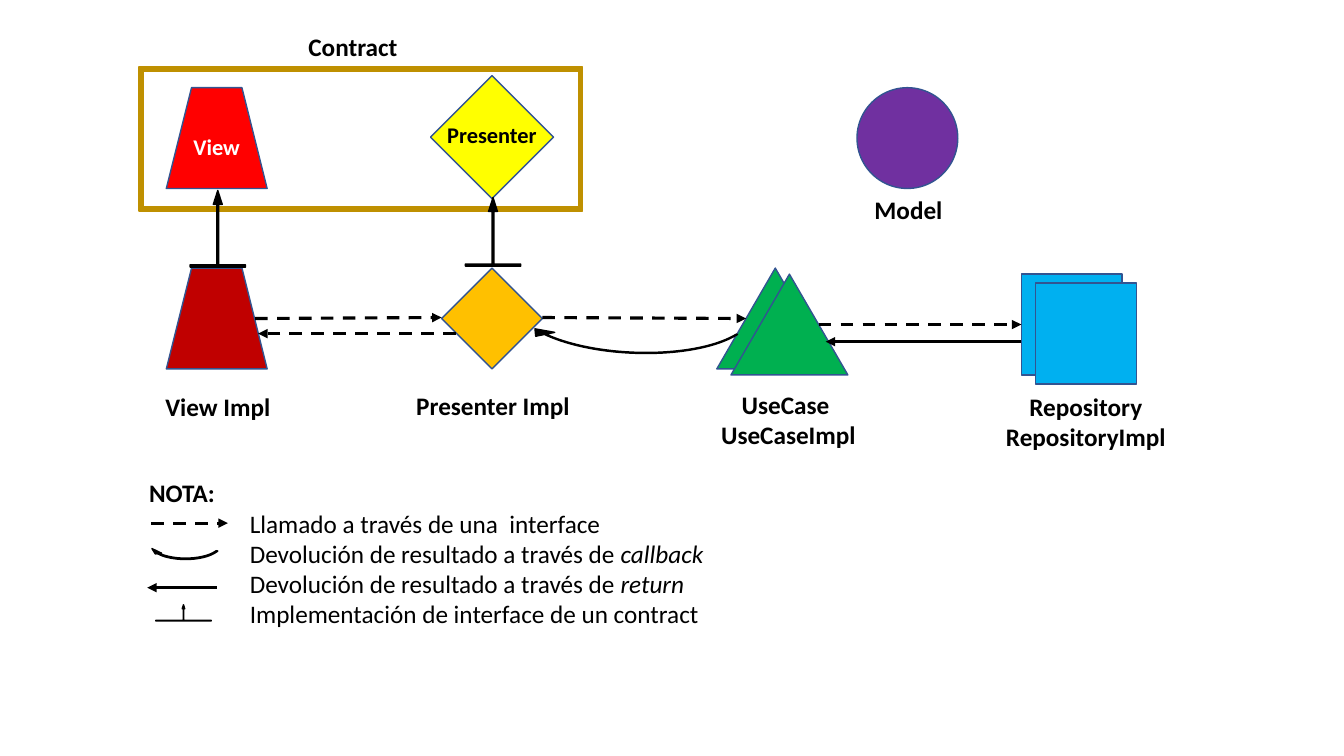
from lxml import etree
from pptx import Presentation, util as u
from pptx.dml.color import RGBColor
from pptx.enum import dml, shapes, text
from pptx.oxml.ns import qn

COLORS = {
    "black": "000000", "white": "FFFFFF", "outline": "325491", "contract": "BF9000",
    "view": "FF0000", "view_impl": "C00000", "presenter": "FFFF00",
    "presenter_impl": "FFC000", "use_case": "00B050", "repository": "00B0F0",
    "model": "7030A0",
}
FONT = "Calibri"
KIND = shapes.MSO_SHAPE
VIEW, PRESENTER, USE_CASE, REPOSITORY, MODEL = 2.15, 4.88, 7.69, 10.63, 9.0
CONTRACT_ROW, IMPL_ROW = 1.37, 3.16
LEGEND = 1.46

# kind, centre, size, colour
COMPONENTS = [
    (KIND.RECTANGLE, (REPOSITORY, IMPL_ROW + 0.06), (1, 1), "repository"),
    (KIND.OVAL, (MODEL, CONTRACT_ROW), (1, 1), "model"),
    (KIND.ISOSCELES_TRIANGLE, (USE_CASE, IMPL_ROW), (1.16, 1), "use_case"),
    (KIND.DIAMOND, (PRESENTER, IMPL_ROW), (1, 1), "presenter_impl"),
    (KIND.TRAPEZOID, (VIEW, IMPL_ROW), (1, 1), "view_impl"),
    (KIND.TRAPEZOID, (VIEW, CONTRACT_ROW), (1, 1), "view"),
    (KIND.ISOSCELES_TRIANGLE, (USE_CASE + 0.14, IMPL_ROW + 0.06), (1.16, 1), "use_case"),
    (KIND.RECTANGLE, (REPOSITORY + 0.14, IMPL_ROW + 0.15), (1, 1), "repository"),
]
LABELS = [
    (["Contract"], (3.5, 0.26), 1.09),
    (["View Impl"], (VIEW + 0.01, 3.83), 1.25),
    (["Presenter Impl"], (PRESENTER + 0.01, 3.82), 1.73),
    (["UseCase ", "UseCaseImpl"], (USE_CASE + 0.13, 3.81), 1.54),
    (["Repository", "RepositoryImpl"], (REPOSITORY + 0.14, 3.83), 1.8),
    (["Model"], (MODEL + 0.01, 1.88), 0.88),
]
ARROWS = [
    ((10.13, 3.39), (8.19, 3.39), False),
    ((2.53, 3.16), (4.38, 3.15), True),
    ((5.38, 3.15), (7.4, 3.16), True),
    ((8.12, 3.22), (10.13, 3.22), True),
    ((4.52, 3.31), (2.56, 3.31), True),
    ((1.5, 5.19), (2.26, 5.19), True),
    ((2.15, 5.83), (LEGEND, 5.83), False),
]
CALLBACKS = [
    ((6.29, 3.06), (2.54, 1.07), 182.5, (0.01, 2.76, 204.79, 114.97, 0.09)),
    ((1.84, 5.4), (0.76, 0.35), 180, (0.04, 6.99, 204.77, 114.97, 0.09)),
]
IMPLEMENTS = [
    ((VIEW + 0.01, 2.27), (0.55, 0.76)),
    ((PRESENTER + 0.01, 2.3), (0.55, 0.68)),
    ((1.82, 6.08), (0.55, 0.16)),
]
IMPLEMENTS_FORM = (0.03, 0.08, 0.25, 0.03)
NOTE_TITLE = "NOTA:"
NOTES = [
    [("Llamado a través de una  interface", False)],
    [("Devolución de resultado a través de ", False), ("callback", True)],
    [("Devolución de resultado a través de ", False), ("return", True)],
    [("Implementación de interface de un contract", False)],
]

deck = Presentation()
deck.slide_width, deck.slide_height = u.Inches(13.33), u.Inches(7.5)
slide = deck.slides.add_slide(deck.slide_layouts[6])


def color(name):
    return RGBColor.from_string(COLORS[name])


def box(center, size):
    (x, y), (w, h) = center, size
    return [u.Inches(v) for v in (x - w / 2, y - h / 2, w, h)]


def draw(kind, center, size, fill, line="outline", form=(), turn=0, parent=slide):
    part = parent.shapes.add_shape(kind, *box(center, size))
    part.shadow.inherit = False
    part.fill.solid()
    part.fill.fore_color.rgb = color(fill)
    part.line.color.rgb = color(line)
    part.line.width = u.Pt(1)
    part.rotation = turn
    for i, value in enumerate(form):
        part.adjustments[i] = value
    return part


def write(paragraph, words, size=18, ink="black", bold=True, italic=False):
    run = paragraph.add_run()
    run.text = words
    run.font.name, run.font.size = FONT, u.Pt(size)
    run.font.bold, run.font.italic = bold, italic
    run.font.color.rgb = color(ink)


def label(lines, center, width, size=18, parent=slide):
    (x, top), height = center, 0.1 + len(lines) * size / 60
    area = parent.shapes.add_textbox(*box((x, top + height / 2), (width, height)))
    frame = area.text_frame
    frame.word_wrap = False
    for i, words in enumerate(lines):
        paragraph = frame.add_paragraph() if i else frame.paragraphs[0]
        paragraph.alignment = text.PP_ALIGN.CENTER
        write(paragraph, words, size)


def arrow(start, end, dashed):
    ends = [u.Inches(v) for v in (*start, *end)]
    link = slide.shapes.add_connector(shapes.MSO_CONNECTOR.STRAIGHT, *ends)
    link.line.color.rgb = color("black")
    link.line.width = u.Pt(2.25)
    if dashed:
        link.line.dash_style = dml.MSO_LINE.DASH
    etree.SubElement(link.line._get_or_add_ln(), qn("a:tailEnd"), type="triangle")
    etree.SubElement(link._element.spPr, qn("a:effectLst"))


for kind, center, size, fill in COMPONENTS:
    component = draw(kind, center, size, fill)
    if fill == "view":
        component.text_frame.vertical_anchor = text.MSO_ANCHOR.MIDDLE
        caption = component.text_frame.paragraphs[0]
        caption.alignment = text.PP_ALIGN.CENTER
        write(caption, "View", 16, "white")

draw(KIND.FRAME, (3.58, 1.38), (4.4, 1.43), "contract", "contract", (0.028,))
for lines, center, width in LABELS:
    label(lines, center, width)

presenter = slide.shapes.add_group_shape()
draw(KIND.DIAMOND, (PRESENTER, 1.36), (1.22, 1.22), "presenter", parent=presenter)
label(["Presenter"], (PRESENTER, 1.15), 1.1, 16, presenter)

for start, end, dashed in ARROWS:
    arrow(start, end, dashed)
for center, size, turn, form in CALLBACKS:
    draw(KIND.CIRCULAR_ARROW, center, size, "black", "black", form, turn)
for center, size in IMPLEMENTS:
    draw(KIND.UP_ARROW_CALLOUT, center, size, "black", "black", IMPLEMENTS_FORM)

notes = slide.shapes.add_textbox(*box((4.48, 5.5), (6.2, 1.62))).text_frame
notes.word_wrap = True
write(notes.paragraphs[0], NOTE_TITLE)
for note in NOTES:
    entry = notes.add_paragraph()
    entry._p.get_or_add_pPr().set("marL", str(u.Inches(1)))
    for words, italic in note:
        write(entry, words, bold=False, italic=italic)

deck.save("out.pptx")
